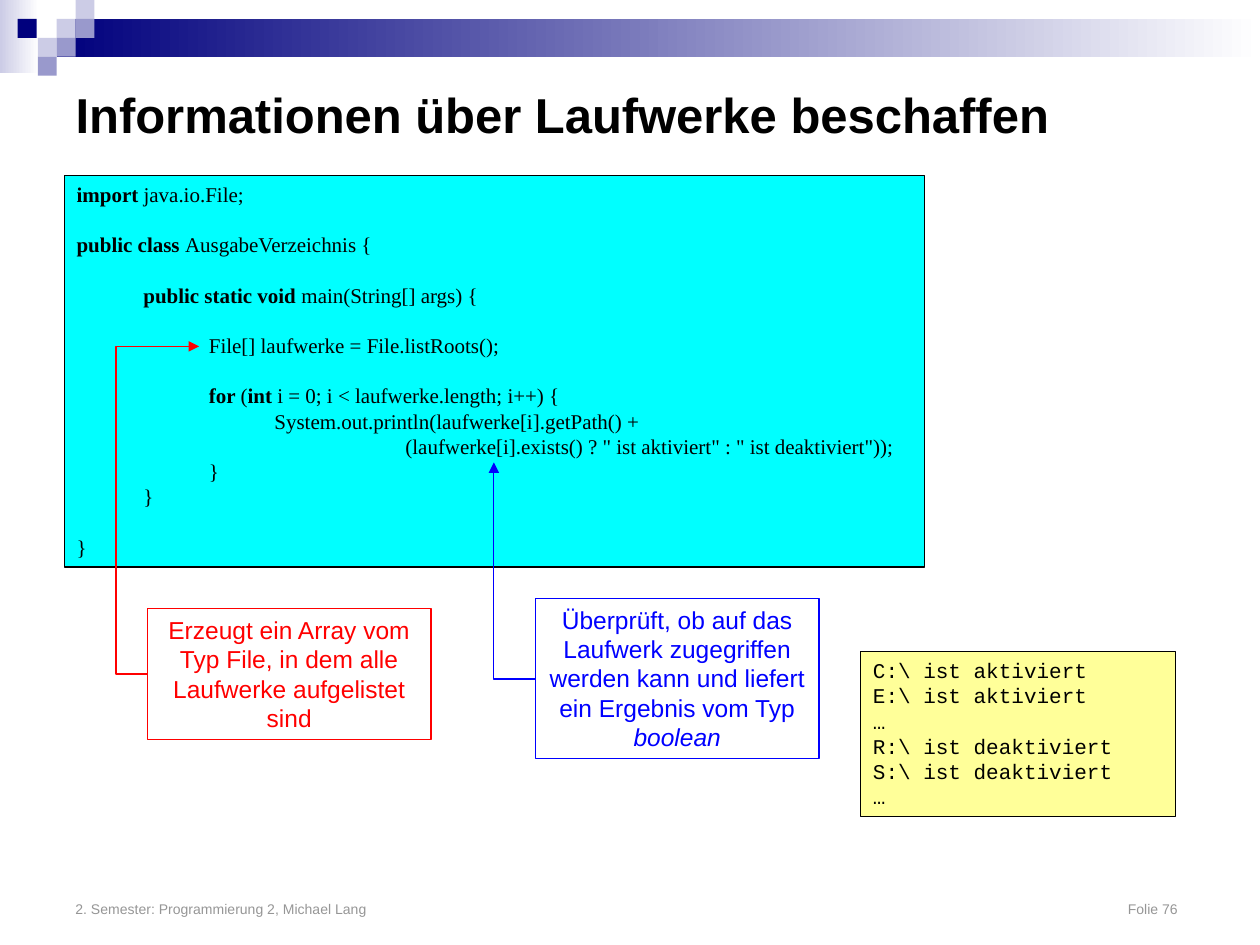
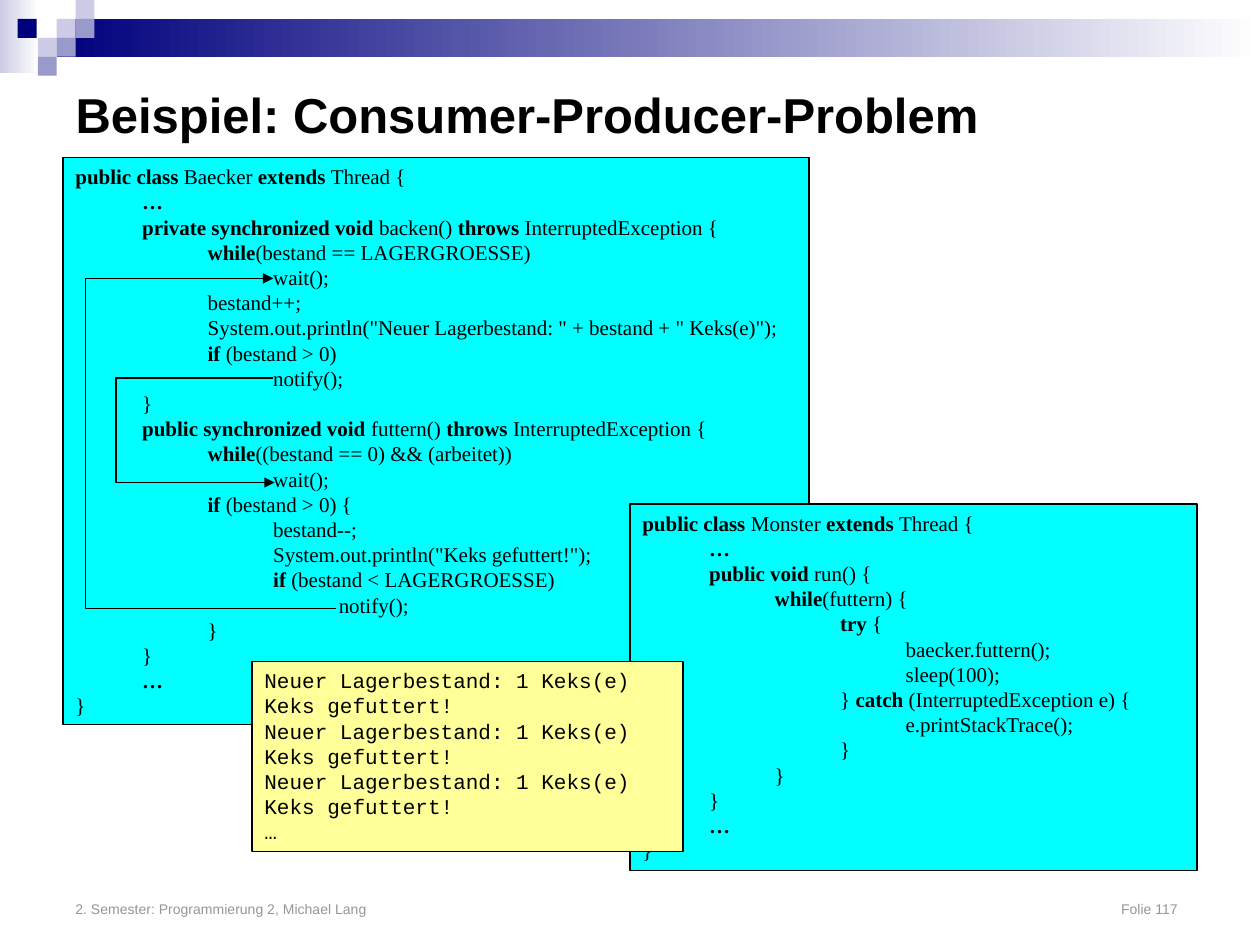
from dataclasses import dataclass

from lxml.etree import SubElement
from pptx import Presentation
from pptx.dml.color import RGBColor
from pptx.enum.shapes import MSO_CONNECTOR, MSO_SHAPE
from pptx.enum.text import MSO_ANCHOR, MSO_AUTO_SIZE, PP_ALIGN
from pptx.oxml.ns import qn
from pptx.util import Inches, Pt

BLACK = RGBColor(0x00, 0x00, 0x00)
WHITE = RGBColor(0xFF, 0xFF, 0xFF)
GREY = RGBColor(0x96, 0x96, 0x96)
NAVY = RGBColor(0x00, 0x00, 0x7D)
LAVENDER = RGBColor(0xCC, 0xCC, 0xE6)
PERIWINKLE = RGBColor(0x99, 0x99, 0xCC)
CYAN = RGBColor(0x00, 0xFF, 0xFF)
YELLOW = RGBColor(0xFF, 0xFF, 0x99)
RED = RGBColor(0xFF, 0x00, 0x00)
BLUE = RGBColor(0x00, 0x00, 0xFF)

SANS, SERIF, MONO = "Arial", "Times New Roman", "Courier New"
FOOTER = "2. Semester: Programmierung 2, Michael Lang\tFolie {}"
SQUARE = 0.15
LEADING = 1.2
CODE_TABS = [0.53 + 0.52 * step for step in range(5)]


@dataclass(frozen=True)
class Area:
    left: float
    top: float
    width: float
    height: float

    def lengths(self) -> tuple:
        return tuple(Inches(v) for v in (self.left, self.top, self.width, self.height))


@dataclass(frozen=True)
class Panel:
    area: Area
    text: str
    font: str = SERIF
    size: int = 12
    color: RGBColor = BLACK
    fill: RGBColor | None = CYAN
    emphasis: str = "bold"
    align: PP_ALIGN = PP_ALIGN.LEFT


@dataclass(frozen=True)
class Bend:
    start: tuple[float, float]
    end: tuple[float, float]
    turn: float
    color: RGBColor = BLACK


@dataclass(frozen=True)
class Lesson:
    title: str
    number: int
    panels: list[Panel]
    bends: list[Bend]


SQUARES = [
    (0.45, 0.15, LAVENDER), (0.6, 0, LAVENDER), (0.6, 0.15, PERIWINKLE), (0.3, 0.3, LAVENDER),
    (0.14, 0.15, NAVY), (0.45, 0.3, PERIWINKLE), (0.3, 0.45, PERIWINKLE),
]

DRIVES_CODE = """*import *java.io.File;

*public class *AusgabeVerzeichnis {

    *public static void *main(String[] args) {

        File[] laufwerke = File.listRoots();

        *for *(*int *i = 0; i < laufwerke.length; i++) {
            System.out.println(laufwerke[i].getPath() +
                    (laufwerke[i].exists() ? " ist aktiviert" : " ist deaktiviert"));
        }
    }

}"""

DRIVES_OUTPUT = r"""C:\ ist aktiviert
E:\ ist aktiviert
…
R:\ ist deaktiviert
S:\ ist deaktiviert
…"""

BAKER_CODE = """*public class *Baecker *extends *Thread {
    *…*
    *private synchronized void *backen() *throws *InterruptedException {
        *while*(bestand == LAGERGROESSE)
            wait();
        bestand++;
        System.out.println("Neuer Lagerbestand: " + bestand + " Keks(e)");
        *if* (bestand > 0)
            notify();
    }
    *public synchronized void *futtern() *throws *InterruptedException {
        *while*((bestand == 0) && (arbeitet))
            wait();
        *if* (bestand > 0) {
            bestand--;
            System.out.println("Keks gefuttert!");
            *if *(bestand < LAGERGROESSE)
                notify();
        }
    }
    *…*
}"""

MONSTER_CODE = """*public class *Monster *extends *Thread {
    *…*
    *public void *run() {
        *while*(futtern) {
            *try *{
                baecker.futtern();
                sleep(100);
            } *catch *(InterruptedException e) {
                e.printStackTrace();
            }
        }
    }
    *…*
}"""

COOKIE_OUTPUT = "Neuer Lagerbestand: 1 Keks(e)\nKeks gefuttert!\n" * 3 + "…"

LESSONS = [
    Lesson(
        "Informationen über Laufwerke beschaffen", 76,
        [
            Panel(Area(0.51, 1.39, 6.83, 3.11), DRIVES_CODE),
            Panel(Area(4.25, 4.75, 2.25, 1.27),
                  "Überprüft, ob auf das Laufwerk zugegriffen werden kann und liefert "
                  "ein Ergebnis vom Typ *boolean*",
                  SANS, 14, BLUE, None, "italic", PP_ALIGN.CENTER),
            Panel(Area(1.17, 4.83, 2.25, 1.04),
                  "Erzeugt ein Array vom Typ File, in dem alle Laufwerke aufgelistet sind",
                  SANS, 14, RED, None, align=PP_ALIGN.CENTER),
            Panel(Area(6.83, 5.17, 2.5, 1.31), DRIVES_OUTPUT, MONO, fill=YELLOW),
        ],
        [
            Bend((1.17, 5.35), (1.58, 2.75), 0.92, RED),
            Bend((4.25, 5.39), (3.92, 3.67), 3.92, BLUE),
        ],
    ),
    Lesson(
        "Beispiel: Consumer-Producer-Problem", 117,
        [
            Panel(Area(0.5, 1.25, 5.92, 4.5), BAKER_CODE),
            Panel(Area(5, 4, 4.5, 2.91), MONSTER_CODE),
            Panel(Area(2, 5.25, 3.42, 1.51), COOKIE_OUTPUT, MONO, fill=YELLOW),
        ],
        [
            Bend((2.17, 3), (2.18, 3.83), 1.02 - 0.12),
            Bend((2.67, 4.83), (2.17, 2.21), 0.68),
        ],
    ),
]


def write_text(frame, text: str, *, font: str, size: int, color: RGBColor, bold: bool = False,
               emphasis: str = "bold", align: PP_ALIGN = PP_ALIGN.LEFT,
               anchor: MSO_ANCHOR = MSO_ANCHOR.TOP, tabs: list[float] | None = None,
               tab_align: str = "l") -> None:
    frame.word_wrap = True
    frame.auto_size = MSO_AUTO_SIZE.NONE
    frame.vertical_anchor = anchor
    pitch = Pt(size * LEADING)
    para, gap = frame.paragraphs[0], 0
    for number, line in enumerate(text.split("\n")):
        if not line:
            gap += pitch
            continue
        if number:
            para = frame.add_paragraph()
        para.alignment = align
        para.line_spacing = pitch
        para.space_before = gap
        gap = 0
        if tabs:
            stops = SubElement(para._p.get_or_add_pPr(), qn("a:tabLst"))
            for stop in tabs:
                SubElement(stops, qn("a:tab"), pos=str(Inches(stop)), algn=tab_align)
        body = line.lstrip(" ")
        indent = "\t" * ((len(line) - len(body)) // 4)
        for index, piece in enumerate((indent + body).split("*")):
            if not piece:
                continue
            span = para.add_run()
            span.text = piece
            span.font.name = font
            span.font.size = Pt(size)
            span.font.color.rgb = color
            span.font.bold = bold
            if index % 2:
                setattr(span.font, emphasis, True)


def add_block(page, area: Area, fill: RGBColor | None, line: RGBColor | None = None):
    block = page.shapes.add_shape(MSO_SHAPE.RECTANGLE, *area.lengths())
    block.shadow.inherit = False
    if fill is None:
        block.fill.background()
    else:
        block.fill.solid()
        block.fill.fore_color.rgb = fill
    if line is None:
        block.line.fill.background()
    else:
        block.line.color.rgb = line
        block.line.width = Pt(0.75)
    return block


def add_fade(page, area: Area, color: RGBColor) -> None:
    fill = add_block(page, area, color).fill
    fill.gradient()
    fill.gradient_angle = 0
    for stop, shade in zip(fill.gradient_stops, (color, WHITE)):
        stop.color.rgb = shade


def add_frame(page, lesson: Lesson) -> None:
    add_fade(page, Area(0, 0, 0.31, 0.58), LAVENDER)
    add_fade(page, Area(0.45, 0.15, 9.55, 0.3), NAVY)
    for left, top, color in SQUARES:
        add_block(page, Area(left, top, SQUARE, SQUARE), color)
    footer = page.shapes.add_textbox(*Area(0.5, 6.83, 9, 0.5).lengths())
    write_text(footer.text_frame, FOOTER.format(lesson.number), font=SANS, size=8, color=GREY,
               anchor=MSO_ANCHOR.BOTTOM, tabs=[8.75], tab_align="r")
    title = page.shapes.title
    title.left, title.top, title.width, title.height = Area(0.5, 0.5, 9, 0.81).lengths()
    write_text(title.text_frame, lesson.title, font=SANS, size=28, color=BLACK, bold=True,
               anchor=MSO_ANCHOR.MIDDLE)


def add_panel(page, panel: Panel) -> None:
    line = panel.color
    box = add_block(page, panel.area, panel.fill, line)
    write_text(box.text_frame, panel.text, font=panel.font, size=panel.size, color=panel.color,
               emphasis=panel.emphasis, align=panel.align,
               tabs=CODE_TABS if panel.font == SERIF else None)


def add_bend(page, bend: Bend) -> None:
    ends = [Inches(value) for value in bend.start + bend.end]
    connector = page.shapes.add_connector(MSO_CONNECTOR.ELBOW, *ends)
    connector.line.color.rgb = bend.color
    connector.line.width = Pt(0.75)
    properties = connector._element.spPr
    SubElement(properties.find(qn("a:ln")), qn("a:tailEnd"), type="triangle")
    SubElement(properties, qn("a:effectLst"))
    geometry = properties.find(qn("a:prstGeom"))
    if bend.turn == bend.end[0]:
        geometry.set("prst", "bentConnector2")
        return
    share = (bend.turn - bend.start[0]) / (bend.end[0] - bend.start[0])
    guides = geometry.find(qn("a:avLst"))
    SubElement(guides, qn("a:gd"), name="adj1", fmla=f"val {round(share * 100000)}")


def main() -> None:
    deck = Presentation()
    deck.slide_width, deck.slide_height = Inches(10), Inches(7.5)
    for lesson in LESSONS:
        page = deck.slides.add_slide(deck.slide_layouts[5])
        add_frame(page, lesson)
        for panel in lesson.panels:
            add_panel(page, panel)
        for bend in lesson.bends:
            add_bend(page, bend)
    deck.save("out.pptx")


if __name__ == "__main__":
    main()
